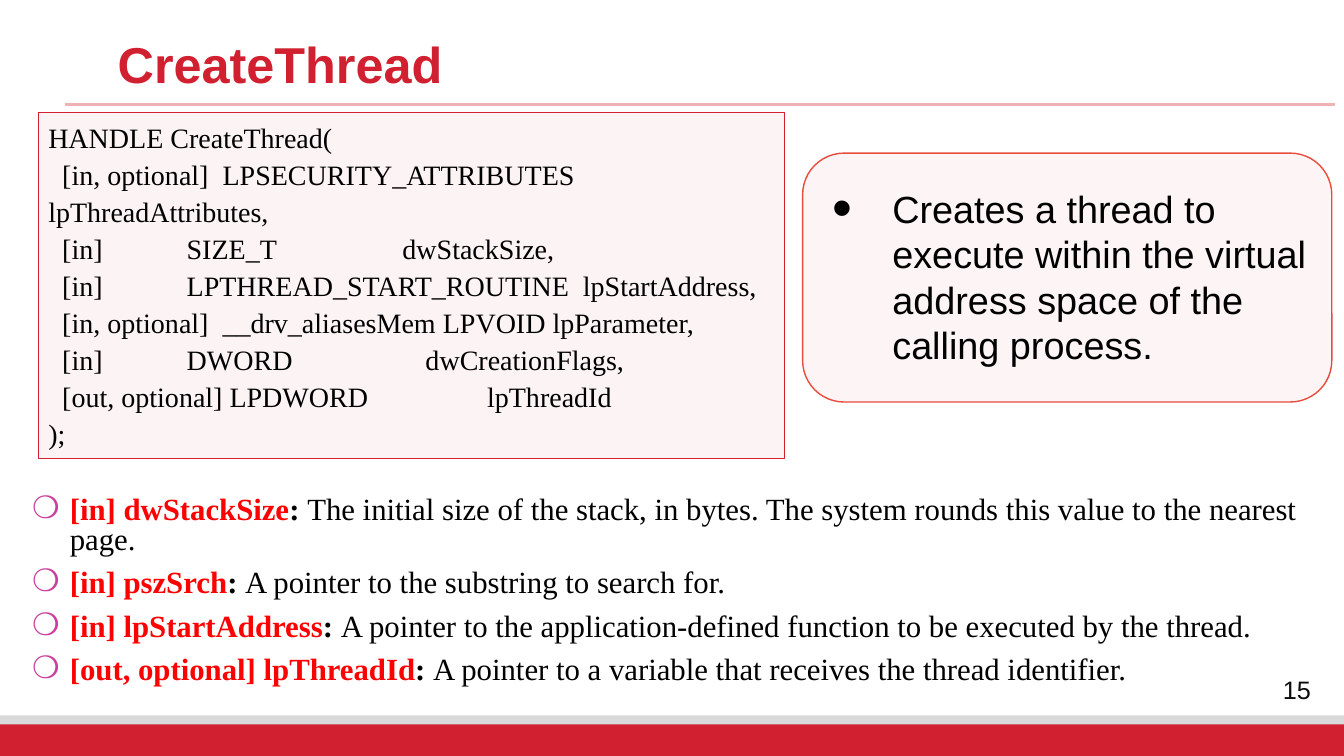
from lxml import etree
from pptx import Presentation
from pptx.dml.color import RGBColor
from pptx.enum import shapes, text
from pptx.oxml.ns import qn
from pptx.util import Pt

RED = RGBColor(0xD1, 0x20, 0x2F)
ORANGE_RED = RGBColor(0xE7, 0x4C, 0x3C)
PALE_RED = RGBColor(0xEF, 0xB3, 0xB3)
GRAY = RGBColor(0xD9, 0xD9, 0xD9)
KEY_RED = RGBColor(0xFF, 0x00, 0x00)
BLACK = RGBColor(0x00, 0x00, 0x00)
NEAR_BLACK = RGBColor(0x0D, 0x0D, 0x0D)
BULLET_PINK = RGBColor(0xCA, 0x3E, 0x9D)
SANS, SERIF = "Arial", "Times New Roman"

deck = Presentation()
deck.slide_width, deck.slide_height = Pt(960), Pt(540)
slide = deck.slides.add_slide(deck.slide_layouts[6])


def add_run(paragraph, words, size, face, color, bold=False):
    run = paragraph.add_run()
    run.text = words
    run.font.size, run.font.name, run.font.bold = Pt(size), face, bold
    run.font.color.rgb = color


def set_bullet(paragraph, mark, margin, indent, color, percent):
    props = paragraph._p.get_or_add_pPr()
    props.set("marL", str(Pt(margin)))
    props.set("indent", str(Pt(-indent)))
    tint = etree.SubElement(props, qn("a:buClr"))
    etree.SubElement(tint, qn("a:srgbClr"), val=str(color))
    etree.SubElement(props, qn("a:buSzPct"), val=str(percent * 1000))
    etree.SubElement(props, qn("a:buFont"), typeface=SANS)
    etree.SubElement(props, qn("a:buChar"), char=mark)


# Footer bands
for top, height, color in [(511, 29, GRAY), (517.5, 22.5, RED)]:
    band = slide.shapes.add_shape(
        shapes.MSO_SHAPE.RECTANGLE, Pt(0), Pt(top), Pt(960), Pt(height))
    band.shadow.inherit = False
    band.fill.solid()
    band.fill.fore_color.rgb = color
    band.line.fill.background()

# Rule under the title
rule = slide.shapes.add_connector(
    shapes.MSO_CONNECTOR.STRAIGHT, Pt(46.4), Pt(74.6), Pt(953.5), Pt(74.6))
rule.line.color.rgb = PALE_RED
rule.line.width = Pt(2.25)
etree.SubElement(rule._element.spPr, qn("a:effectLst"))

# Page number
page = slide.shapes.add_textbox(Pt(893.5), Pt(478.5), Pt(65.5), Pt(28)).text_frame
page.word_wrap = True
page.vertical_anchor = text.MSO_ANCHOR.MIDDLE
page.paragraphs[0].alignment = text.PP_ALIGN.CENTER
add_run(page.paragraphs[0], "15", 18, SANS, NEAR_BLACK)

# Title
title = slide.shapes.add_textbox(Pt(77), Pt(25.2), Pt(818.6), Pt(34.6)).text_frame
title.word_wrap = True
title.paragraphs[0].line_spacing = 0.9
add_run(title.paragraphs[0], "CreateThread", 36, SANS, RED, True)

# Parameter notes
parameters = [
    ("[in] dwStackSize", "The initial size of the stack, in bytes. "
     "The system rounds this value to the nearest page."),
    ("[in] pszSrch", "A pointer to the substring to search for."),
    ("[in] lpStartAddress", "A pointer to the application-defined function "
     "to be executed by the thread."),
    ("[out, optional] lpThreadId",
     "A pointer to a variable that receives the thread identifier."),
]
notes = slide.shapes.add_textbox(Pt(15.8), Pt(351.4), Pt(918), Pt(134)).text_frame
notes.word_wrap = True
for i, (parameter, meaning) in enumerate(parameters):
    note = notes.add_paragraph() if i else notes.paragraphs[0]
    set_bullet(note, "❍", 27, 27, BULLET_PINK, 100)
    note.line_spacing = 0.8
    note.space_after = Pt(10)
    add_run(note, parameter, 22, SERIF, KEY_RED, True)
    add_run(note, ": ", 22, SERIF, BLACK, True)
    add_run(note, meaning, 22, SERIF, BLACK)

# Tinted panels: signature and summary
panels = []
for kind, left, top, width, height, color, weight in [
    (shapes.MSO_SHAPE.RECTANGLE, 27.4, 80.3, 532.8, 247, RED, 0.75),
    (shapes.MSO_SHAPE.ROUNDED_RECTANGLE, 573.3, 109.4, 378, 177.8, ORANGE_RED, 1),
]:
    panel = slide.shapes.add_shape(kind, Pt(left), Pt(top), Pt(width), Pt(height))
    panel.shadow.inherit = False
    panel.fill.solid()
    panel.fill.fore_color.rgb = color
    tint = panel._element.spPr.find(qn("a:solidFill"))[0]
    etree.SubElement(tint, qn("a:alpha"), val="5000")
    panel.line.color.rgb = color
    panel.line.width = Pt(weight)
    panels.append(panel)

# Function signature
signature_lines = [
    "HANDLE CreateThread(",
    "  [in, optional]  LPSECURITY_ATTRIBUTES   lpThreadAttributes,",
    "  [in]            SIZE_T                  dwStackSize,",
    "  [in]            LPTHREAD_START_ROUTINE  lpStartAddress,",
    "  [in, optional]  __drv_aliasesMem LPVOID lpParameter,",
    "  [in]            DWORD                   dwCreationFlags,",
    "  [out, optional] LPDWORD                 lpThreadId",
    ");",
]
signature = panels[0].text_frame
signature.word_wrap = True
signature.vertical_anchor = text.MSO_ANCHOR.TOP
for i, code in enumerate(signature_lines):
    line = signature.add_paragraph() if i else signature.paragraphs[0]
    line.alignment = text.PP_ALIGN.LEFT
    line.line_spacing = 1.1
    add_run(line, code, 20, SERIF, BLACK)

# Summary
summary = slide.shapes.add_textbox(Pt(573.3), Pt(129), Pt(378), Pt(138)).text_frame
summary.word_wrap = True
set_bullet(summary.paragraphs[0], "•", 57, 42.5, BLACK, 150)
add_run(summary.paragraphs[0], "Creates a thread to execute within the virtual "
        "address space of the calling process.", 27, SANS, BLACK)

deck.save("out.pptx")
